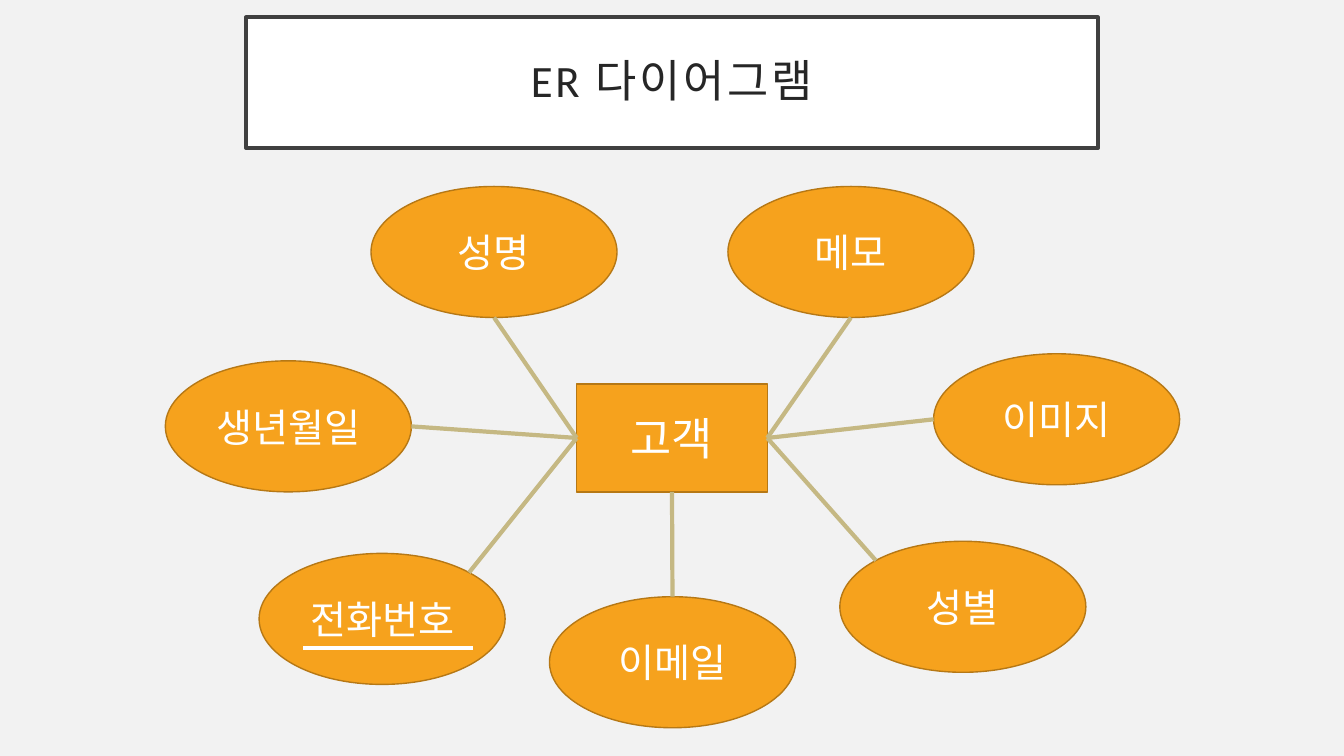
"""Build the customer ER diagram slide."""
from math import cos, radians, sin

from lxml import etree
from pptx import Presentation
from pptx.dml.color import RGBColor
from pptx.enum.shapes import MSO_CONNECTOR, MSO_SHAPE
from pptx.enum.text import MSO_ANCHOR, MSO_AUTO_SIZE, PP_ALIGN
from pptx.oxml.ns import qn
from pptx.util import Inches, Pt

RECTANGLE, OVAL = MSO_SHAPE.RECTANGLE, MSO_SHAPE.OVAL
STRAIGHT = MSO_CONNECTOR.STRAIGHT
CENTER, MIDDLE = PP_ALIGN.CENTER, MSO_ANCHOR.MIDDLE
NO_FIT = MSO_AUTO_SIZE.NONE
LEFT_SIDE, BOTTOM_SIDE, RIGHT_SIDE = 1, 2, 3

FONT = "Calibri"
COLORS = {
    "background": "F2F2F2", "white": "FFFFFF", "title": "262626",
    "frame": "404040", "orange": "F6A21D", "outline": "B67815", "link": "C5B883",
}
TITLE = "ER 다이어그램"
TITLE_BOX = (2.44, 0.17, 8.45, 1.3)
ENTITY = "고객"
ENTITY_BOX = (5.72, 3.81, 1.89, 1.07)
OVAL_SIZE = (2.44, 1.3)
# name, left, top, angle of the joint on the oval (clockwise from right), entity side
ATTRIBUTES = [
    ("성명", 3.68, 1.85, 90, LEFT_SIDE),
    ("생년월일", 1.64, 3.58, 0, LEFT_SIDE),
    ("전화번호", 2.57, 5.49, -45, LEFT_SIDE),
    ("이메일", 5.45, 5.92, -90, BOTTOM_SIDE),
    ("성별", 8.33, 5.37, -135, RIGHT_SIDE),
    ("이미지", 9.26, 3.51, 180, RIGHT_SIDE),
    ("메모", 7.22, 1.85, 90, RIGHT_SIDE),
]
KEY_UNDERLINE = (3.01, 6.43, 4.69, 6.43)


def rgb(name):
    """Return the named colour."""
    return RGBColor.from_string(COLORS[name])


def style_box(box, text, size, fill, line, line_width, color):
    """Fill, outline and label a shape."""
    box.fill.solid()
    box.fill.fore_color.rgb = rgb(fill)
    box.line.color.rgb = rgb(line)
    box.line.width = Pt(line_width)
    frame = box.text_frame
    frame.text = text
    frame.word_wrap = True
    frame.auto_size = NO_FIT
    frame.vertical_anchor = MIDDLE
    para = frame.paragraphs[0]
    para.alignment = CENTER
    font = para.runs[0].font
    font.name, font.size = FONT, Pt(size)
    font.color.rgb = rgb(color)


def add_node(page, kind, bounds, text, size):
    """Add an orange diagram node."""
    node = page.shapes.add_shape(kind, *map(Inches, bounds))
    node.shadow.inherit = False
    style_box(node, text, size, "orange", "outline", 1, "white")
    return node


def add_line(page, ends, color):
    """Add a straight line without a shadow."""
    line = page.shapes.add_connector(STRAIGHT, *map(Inches, ends))
    line.line.color.rgb = rgb(color)
    line.line.width = Pt(3)
    etree.SubElement(line._element.spPr, qn("a:effectLst"))
    return line


def add_title(page):
    """Format the framed title."""
    title = page.shapes.title
    title.left, title.top, title.width, title.height = map(Inches, TITLE_BOX)
    style_box(title, TITLE, 32, "white", "frame", 2.5, "title")
    frame = title.text_frame
    frame.margin_left = frame.margin_right = Inches(0.2)
    frame.margin_top = frame.margin_bottom = Inches(0.2)
    para = frame.paragraphs[0]
    para.line_spacing = 0.9
    para.runs[0].font._element.set("spc", "200")


def main():
    """Create and save the slide."""
    deck = Presentation()
    deck.slide_width, deck.slide_height = Inches(13.33), Inches(7.5)
    page = deck.slides.add_slide(deck.slide_layouts[5])
    page.background.fill.solid()
    page.background.fill.fore_color.rgb = rgb("background")
    add_title(page)

    entity = add_node(page, RECTANGLE, ENTITY_BOX, ENTITY, 32)
    width, height = OVAL_SIZE
    for name, left, top, _, _ in ATTRIBUTES:
        add_node(page, OVAL, (left, top, width, height), name, 28)
    for _, left, top, angle, side in ATTRIBUTES:
        x = left + width / 2 * (1 + cos(radians(angle)))
        y = top + height / 2 * (1 + sin(radians(angle)))
        link = add_line(page, (x, y, x, y), "link")
        link.end_connect(entity, side)
    add_line(page, KEY_UNDERLINE, "white")
    deck.save("out.pptx")


if __name__ == "__main__":
    main()
